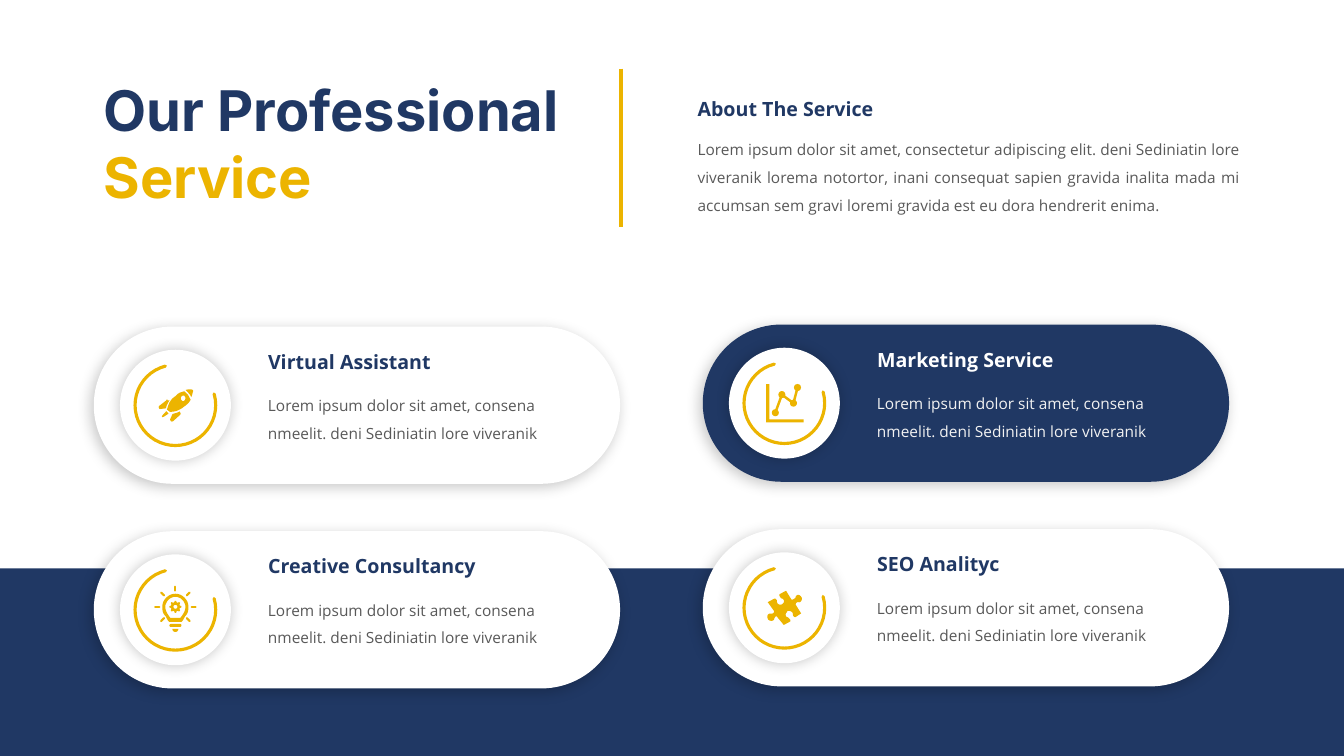
from math import cos, pi, sin

from lxml import etree
from pptx import Presentation
from pptx.dml.color import RGBColor
from pptx.enum.shapes import MSO_CONNECTOR, MSO_SHAPE
from pptx.enum.text import MSO_AUTO_SIZE, PP_ALIGN
from pptx.oxml.ns import qn
from pptx.util import Inches, Pt

RECT, PILL = MSO_SHAPE.RECTANGLE, MSO_SHAPE.ROUNDED_RECTANGLE
OVAL, ARC = MSO_SHAPE.OVAL, MSO_SHAPE.ARC
LINE = MSO_CONNECTOR.STRAIGHT
JUST = PP_ALIGN.JUSTIFY
GROW = MSO_AUTO_SIZE.SHAPE_TO_FIT_TEXT
COLORS = {"navy": "203864", "gold": "ECB400", "white": "FFFFFF",
          "gray": "595959", "pale": "F2F2F2", "black": "000000"}

ROCKET = [
    [[(17, -15), (17, -16, 13, -16, 10, -15), (11, -14, 12, -13, 13, -12),
      (14, -11, 15, -10, 16, -8), (17, -12, 18, -15, 17, -15)]],
    [[(-6, -5), (-8, -5), (-8, -6, -9, -6, -9, -5), (-16, 1),
      (-17, 2, -16, 4, -15, 4), (-9, 3), (-9, 1, -8, -2, -6, -5)]],
    [[(4, 6), (1, 8, -1, 8, -3, 9), (-5, 14), (-5, 16, -4, 17, -2, 16),
      (4, 10), (5, 9, 5, 9, 5, 8)]],
    [[(8, -14), (5, -13, 2, -12, 0, -9), (-6, -5, -7, 1, -8, 5), (-5, 7),
      (-2, 7, 4, 6, 9, 1), (12, -1, 14, -4, 15, -6),
      (14, -8, 13, -9, 12, -11), (10, -12, 9, -14, 8, -14)],
     [(9, -5), (8, -4, 7, -4, 6, -5), (5, -6, 5, -8, 6, -9),
      (7, -10, 9, -10, 9, -9), (10, -8, 10, -6, 9, -5)]],
    [[(-8, 7), (-9, 6, -9, 5, -10, 7), (-11, 8, -14, 11, -13, 12),
      (-12, 12, -9, 10, -8, 9), (-6, 8, -7, 8, -8, 7)]],
]
BULB = [
    [(13, -3), (13, -10, 7, -16, 0, -16), (-7, -16, -13, -10, -13, -3),
     (-13, 2, -12, 4, -10, 6), (-9, 7, -8, 10, -7, 11), (-6, 12), (6, 12),
     (7, 11), (8, 10, 9, 7, 10, 6), (12, 4, 13, 2, 13, -3)],
    [(10, -3), (10, -8, 5, -13, 0, -13), (-5, -13, -10, -8, -10, -3),
     (-10, 1, -8, 4, -5, 8), (5, 8), (8, 4, 10, 1, 10, -3)],
]
CAP = [[(-3, 19), (3, 19), (3, 23, -3, 23, -3, 19)]]
AXES = [[(-18, -19), (-15, -19), (-15, 16), (19, 16), (19, 19), (-18, 19)]]
NODES = [(-9, 9.5), (-2.5, -8.5), (9, 0), (13, -15.5)]
PUZZLE = [[
    (4, 9), (2, 9, 1, 6, 3, 4), (3, 3), (6, 2, 9, 3, 9, 6),
    (9, 7, 11, 9, 12, 8), (17, 4), (11, -4), (10, -5, 12, -7, 13, -7),
    (16, -6, 17, -10, 16, -12), (15, -13), (13, -15, 10, -14, 10, -11),
    (9, -10, 7, -8, 6, -9), (0, -17), (-6, -13), (-7, -12, -5, -10, -4, -9),
    (-1, -9, 0, -6, -2, -4), (-3, -3), (-5, -2, -8, -3, -8, -6),
    (-8, -7, -10, -9, -11, -8), (-17, -4), (-10, 4), (-9, 6, -11, 7, -13, 7),
    (-16, 7, -17, 10, -15, 13), (-13, 15, -9, 14, -9, 12),
    (-9, 10, -7, 8, -6, 10), (1, 17), (7, 13), (8, 12, 6, 10, 4, 9)]]


def tint(name):
    return RGBColor.from_string(COLORS[name])


def shade(shape, gap, turn):
    effects = etree.SubElement(shape.element.spPr, qn("a:effectLst"))
    drop = etree.SubElement(effects, qn("a:outerShdw"), blurRad=str(Pt(10)),
                            dist=str(Pt(gap)), dir=str(turn * 60000),
                            algn="ctr", rotWithShape="0")
    color = etree.SubElement(drop, qn("a:srgbClr"), val=COLORS["black"])
    etree.SubElement(color, qn("a:alpha"), val="22000")


def paint(shape, fill):
    shape.shadow.inherit = False
    shape.fill.solid()
    shape.fill.fore_color.rgb = tint(fill)
    shape.line.fill.background()
    return shape


def add(slide, kind, x, y, w, h, fill, drop=None):
    shape = paint(slide.shapes.add_shape(
        kind, Inches(x), Inches(y), Inches(w), Inches(h)), fill)
    if drop:
        spare = shape.element.spPr.find(qn("a:effectLst"))
        shape.element.spPr.remove(spare)
        shade(shape, *drop)
    return shape


def stroke(slide, x, y, x2, y2, width, cap="flat"):
    line = slide.shapes.add_connector(
        LINE, Inches(x), Inches(y), Inches(x2), Inches(y2))
    line.line.color.rgb = tint("gold")
    line.line.width = Pt(width)
    line.line._get_or_add_ln().set("cap", cap)
    etree.SubElement(line.element.spPr, qn("a:effectLst"))


def write(slide, x, y, w, h, runs, size, font="Open Sans", bold=False,
          align=None, space=None):
    box = slide.shapes.add_textbox(Inches(x), Inches(y), Inches(w), Inches(h))
    frame = box.text_frame
    frame.word_wrap = True
    frame.auto_size = GROW
    para = frame.paragraphs[0]
    para.alignment = align
    para.line_spacing = space
    for text, color in runs:
        run = para.add_run()
        run.text = text
        run.font.name = font
        run.font.size = Pt(size)
        run.font.bold = bold
        run.font.color.rgb = tint(color)


def trace(path):
    points = [path[0]]
    for step in path[1:]:
        if len(step) == 2:
            points.append(step)
            continue
        knots = [points[-1], step[:2], step[2:4], step[4:]]
        for t in (i / 8 for i in range(1, 9)):
            parts = ((1 - t) ** 3, 3 * t * (1 - t) ** 2,
                     3 * t * t * (1 - t), t ** 3)
            points.append(tuple(sum(p * k[axis] for p, k in zip(parts, knots))
                                for axis in (0, 1)))
    return points


def carve(slide, x, y, paths, turn=0):
    pen = None
    for path in paths:
        points = [(px * 10, py * 10) for px, py in trace(path)]
        if pen is None:
            pen = slide.shapes.build_freeform(*points[0], scale=914.4)
        else:
            pen.move_to(*points[0])
        pen.add_line_segments(points[1:], close=True)
    shape = paint(pen.convert_to_shape(Inches(x), Inches(y)), "gold")
    shape.rotation = turn


def rocket(slide, x, y):
    for paths in ROCKET:
        carve(slide, x, y, paths, 2.8)


def bulb(slide, x, y):
    carve(slide, x, y, BULB)
    carve(slide, x, y, CAP)
    add(slide, PILL, x - 0.06, y + 0.14, 0.12, 0.03, "gold").adjustments[0] = 0.5
    rim = [(r * cos(a), r * sin(a) - 3) for i in range(32)
           for a, r in [((i - 0.5) * pi / 16, 6 if i % 4 < 2 else 4.5)]]
    hole = [(2 * cos(i * pi / 8), 2 * sin(i * pi / 8) - 3) for i in range(16)]
    carve(slide, x, y, [rim, hole])
    for i in range(3, 10):
        dx, dy = cos(i * pi / 4), sin(i * pi / 4)
        stroke(slide, x + 0.16 * dx, y - 0.03 + 0.16 * dy,
               x + 0.2 * dx, y - 0.03 + 0.2 * dy, 1.5, "rnd")


def graph(slide, x, y):
    carve(slide, x, y, AXES)
    spots = [(x + dx / 100, y + dy / 100) for dx, dy in NODES]
    for start, end in zip(spots, spots[1:]):
        stroke(slide, *start, *end, 1.75)
    for dx, dy in spots:
        add(slide, OVAL, dx - 0.035, dy - 0.035, 0.07, 0.07, "gold")


def puzzle(slide, x, y):
    carve(slide, x, y, PUZZLE, 5.4)


def header(slide, x, y):
    write(slide, x, y, 4.9, 1.45,
          [("Our Professional ", "navy"), ("Service", "gold")],
          40, "Inter", True)
    stroke(slide, x + 5.23, y - 0.02, x + 5.23, y + 1.55, 3)
    write(slide, x + 5.89, y + 0.21, 2.3, 0.34,
          [("About The Service", "navy")], 14, bold=True, align=JUST)
    about = ("Lorem ipsum dolor sit amet, consectetur adipiscing elit. deni "
             "Sediniatin lore viveranik lorema notortor, inani consequat "
             "sapien gravida inalita mada mi accumsan sem gravi loremi "
             "gravida est eu dora hendrerit enima.")
    write(slide, x + 5.89, y + 0.55, 5.58, 0.9, [(about, "gray")], 11,
          align=JUST, space=1.5)


def card(slide, x, y, title, icon, fill, head, body):
    pill = add(slide, PILL, x, y, 5.22, 1.56, fill, (3, 135))
    pill.adjustments[0] = 0.5
    add(slide, OVAL, x + 0.26, y + 0.23, 1.1, 1.1, "white", (0, 0))
    ring = add(slide, ARC, x + 0.41, y + 0.38, 0.8, 0.8, "white")
    ring.fill.background()
    ring.adjustments[0] = 206.273
    ring.adjustments[1] = 153.418
    ring.line.color.rgb = tint("gold")
    ring.line.width = Pt(2.25)
    ring.line._get_or_add_ln().set("cap", "rnd")
    icon(slide, x + 0.81, y + 0.78)
    write(slide, x + 1.63, y + 0.18, 2.95, 0.34, [(title, head)], 14, bold=True)
    blurb = ("Lorem ipsum dolor sit amet, consena nmeelit. deni "
             "Sediniatin lore viveranik")
    write(slide, x + 1.63, y + 0.55, 3.27, 0.63, [(blurb, body)], 11, space=1.5)


deck = Presentation()
deck.slide_width, deck.slide_height = Inches(13.33), Inches(7.5)
slide = deck.slides.add_slide(deck.slide_layouts[6])
add(slide, RECT, 0, 5.64, 13.33, 1.86, "navy")
header(slide, 0.93, 0.7)
LIGHT, DARK = ("white", "navy", "gray"), ("navy", "white", "pale")
CARDS = [("Virtual Assistant", rocket, LIGHT),
         ("Marketing Service", graph, DARK),
         ("Creative Consultancy", bulb, LIGHT),
         ("SEO Analityc", puzzle, LIGHT)]
for i, (title, icon, theme) in enumerate(CARDS):
    row, col = divmod(i, 2)
    card(slide, 0.93 + col * 6.04, 3.24 + row * 2.03 - col * 0.02,
         title, icon, *theme)
deck.save("out.pptx")
